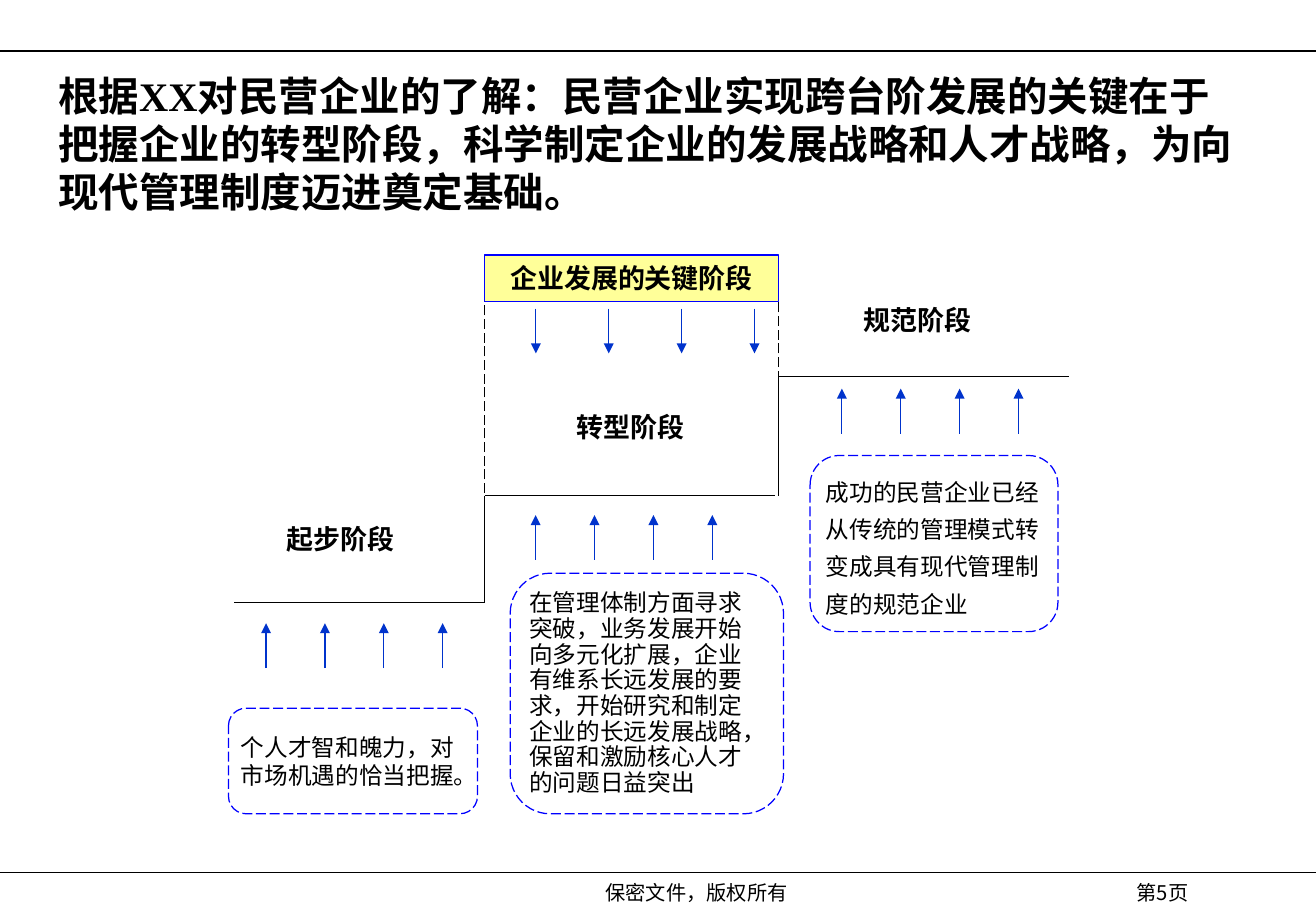
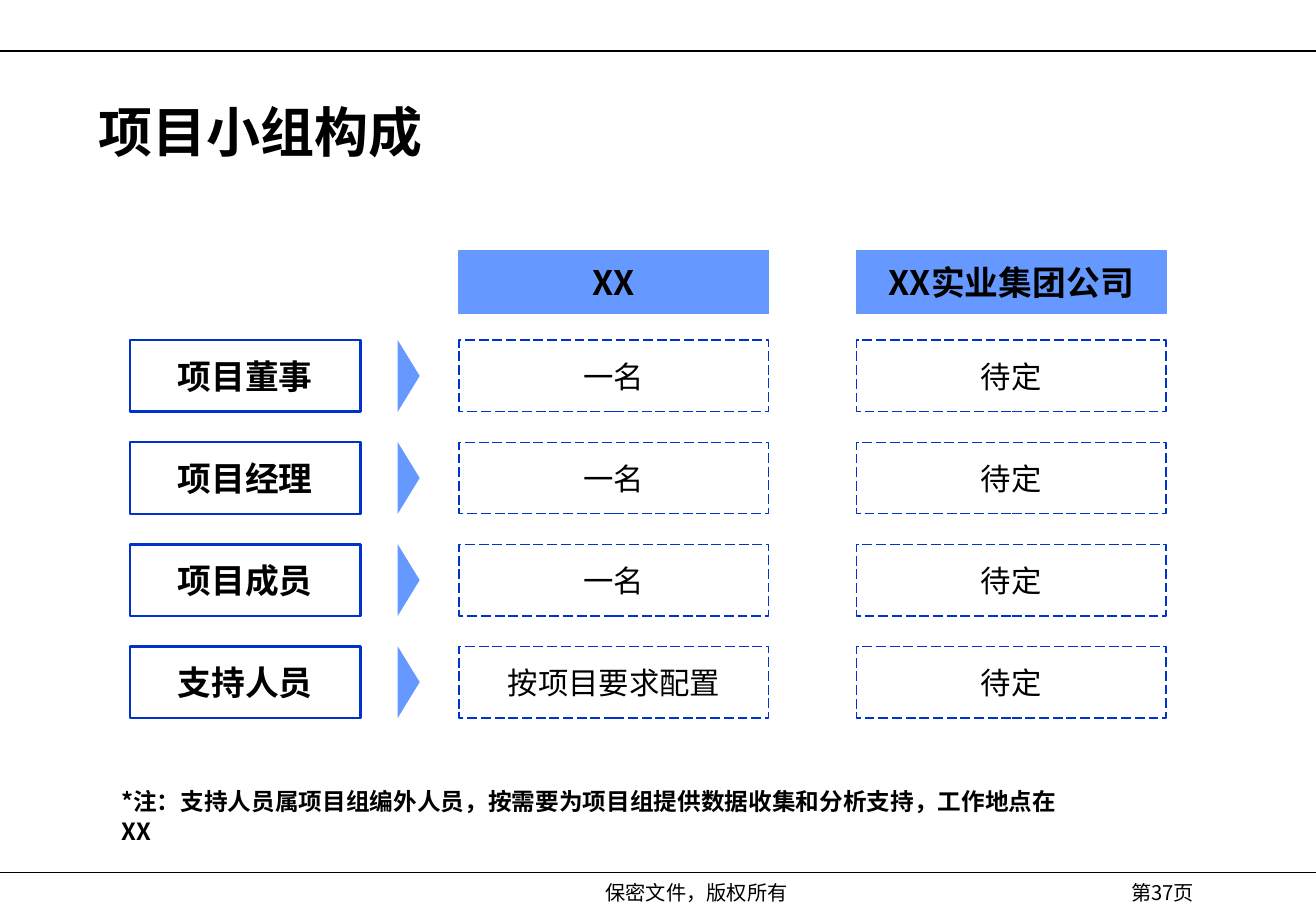
from dataclasses import dataclass
from typing import NamedTuple

import pptx
import pptx.dml.color
import pptx.enum.dml
import pptx.enum.shapes
import pptx.enum.text
import pptx.oxml
import pptx.oxml.ns
import pptx.util
from lxml import etree

Pt = pptx.util.Pt
SHAPES = pptx.enum.shapes.MSO_SHAPE
ALIGN = pptx.enum.text.PP_ALIGN
ANCHOR = pptx.enum.text.MSO_ANCHOR
LONG_DASH = pptx.enum.dml.MSO_LINE.LONG_DASH


@dataclass(frozen=True)
class Theme:
    black: str = "000000"
    white: str = "FFFFFF"
    navy: str = "0033CC"
    blue: str = "0000FF"
    sky: str = "6699FF"
    yellow: str = "FFFF99"
    serif: str = "Times New Roman"
    sans: str = "Arial"
    chinese: str = "Noto Sans CJK SC"
    footer_size: float = 12
    note_size: float = 14
    label_size: float = 16
    cell_size: float = 18
    header_size: float = 20
    long_title_size: float = 24
    title_size: float = 32
    thin: float = 0.75
    thick: float = 1.5


THEME = Theme()


class Box(NamedTuple):
    left: float
    top: float
    width: float
    height: float

    def inner(self, left, top, width, height):
        """Box whose offset is measured from this box."""
        return Box(self.left + left, self.top + top, width, height)

    def lengths(self):
        return [Pt(value) for value in self]


def color(value):
    return pptx.dml.color.RGBColor.from_string(value)


def write(shape, text, size=THEME.note_size, font=THEME.chinese, bold=False,
          align=ALIGN.LEFT, anchor=ANCHOR.MIDDLE, line_spacing=None,
          insets=(7.2, 3.6)):
    frame = shape.text_frame
    frame.word_wrap = True
    frame.vertical_anchor = anchor
    frame.margin_left = frame.margin_right = Pt(insets[0])
    frame.margin_top = frame.margin_bottom = Pt(insets[1])
    paragraph = frame.paragraphs[0]
    paragraph.alignment = align
    if line_spacing:
        paragraph.line_spacing = Pt(line_spacing)
    run = paragraph.add_run()
    run.text = text
    run.font.name = font
    run.font.size = Pt(size)
    run.font.bold = bold
    run.font.color.rgb = color(THEME.black)
    east_asian = etree.SubElement(run.font._element, pptx.oxml.ns.qn("a:ea"))
    east_asian.set("typeface", THEME.chinese)


def add_text(slide, box, text, **text_format):
    write(slide.shapes.add_textbox(*box.lengths()), text, **text_format)


def add_panel(slide, box, kind=SHAPES.RECTANGLE, fill=None, line=None,
              width=THEME.thin, dash=None):
    shape = slide.shapes.add_shape(kind, *box.lengths())
    shape.shadow.inherit = False
    if fill:
        shape.fill.solid()
        shape.fill.fore_color.rgb = color(fill)
    else:
        shape.fill.background()
    if line:
        shape.line.color.rgb = color(line)
        shape.line.width = Pt(width)
        shape.line.dash_style = dash
    else:
        shape.line.fill.background()
    return shape


def add_line(slide, start, end, line=THEME.black, dash=None, arrow=False):
    connector = slide.shapes.add_connector(
        pptx.enum.shapes.MSO_CONNECTOR.STRAIGHT,
        *[Pt(value) for value in (*start, *end)])
    connector.line.color.rgb = color(line)
    connector.line.width = Pt(THEME.thin)
    if dash:
        connector.line.dash_style = dash
    if arrow:
        etree.SubElement(connector.line._get_or_add_ln(),
                         pptx.oxml.ns.qn("a:tailEnd"), type="triangle")
    etree.SubElement(connector._element.spPr, pptx.oxml.ns.qn("a:effectLst"))


def add_frame(slide, page, number):
    """Rules, confidentiality line and page number found on every slide."""
    right = page.left + page.width
    for top in (30.24, 517):
        add_line(slide, (page.left, top), (right, top))
    footer = {"size": THEME.footer_size, "align": ALIGN.CENTER}
    add_text(slide, page.inner(201.6, 518.4, 422.6, 21.6), "保密文件，版权所有",
             font=THEME.serif, **footer)
    add_text(slide, page.inner(630.7, 518.4, 116.6, 21.6), f"第{number}页", **footer)


def add_arrows(slide, left, tail, tip, gap):
    """Four parallel vertical arrows, pointing from tail to tip."""
    for index in range(4):
        x = left + index * gap
        add_line(slide, (x, tail), (x, tip), line=THEME.navy, arrow=True)


def add_stage(slide, box, label, label_box, note, note_box, spacing, tread, arrows):
    """One step: its tread, label, upward arrows and note."""
    left, right, height = tread
    add_line(slide, (box.left + left, box.top + height),
             (box.left + right, box.top + height))
    panel = add_panel(slide, box.inner(*note_box), SHAPES.ROUNDED_RECTANGLE,
                      THEME.white, THEME.blue, dash=LONG_DASH)
    write(panel, note, font=THEME.sans, line_spacing=spacing, insets=(4.32, 3.6))
    add_text(slide, box.inner(*label_box), label, size=THEME.label_size,
             font=THEME.sans, bold=True)
    x, tip = arrows
    add_arrows(slide, box.left + x, box.top + tip + 26.6, box.top + tip, 34.9)


def add_key_stage(slide, box):
    """Banner over the middle step, with dashed sides and downward arrows."""
    right = box.left + box.width
    bottom = box.top + box.height
    add_line(slide, (box.left, bottom), box[:2], dash=LONG_DASH)
    add_line(slide, (right, box.top + 74.5), (right, box.top), dash=LONG_DASH)
    banner = add_panel(slide, box.inner(0, 0, box.width, 27.4),
                       fill=THEME.yellow, line=THEME.blue)
    write(banner, "企业发展的关键阶段", size=THEME.label_size, font=THEME.sans,
          bold=True, align=ALIGN.CENTER)
    add_arrows(slide, box.left + 30.3, box.top + 31.7, box.top + 58.3, 43.2)


def add_staircase(slide, box):
    stages = [
        dict(label="起步阶段", label_box=(27.7, 155, 92, 26.6),
             note="个人才智和魄力，对市场机遇的恰当把握。",
             note_box=(0.4, 268.8, 147.6, 62.6), spacing=17,
             tread=(4, 152.3, 206.1), arrows=(22.7, 218.4)),
        dict(label="转型阶段", label_box=(199.8, 88.8, 89.3, 26.6),
             note="在管理体制方面寻求突破，业务发展开始向多元化扩展，企业有维系长远发展的要求，"
                  "开始研究和制定企业的长远发展战略，保留和激励核心人才的问题日益突出",
             note_box=(167.4, 188.8, 162, 142.6), spacing=15.2,
             tread=(152.3, 324.4, 142.8), arrows=(182.5, 154.3)),
        dict(label="规范阶段", label_box=(369.7, 25.4, 83.5, 26.6),
             note="成功的民营企业已经从传统的管理模式转变成具有现代管理制度的规范企业",
             note_box=(345.2, 119, 146.9, 104.4), spacing=22,
             tread=(326.5, 498.6, 72.2), arrows=(364, 79.4)),
    ]
    for stage in stages:
        add_stage(slide, box, **stage)
    for lower, upper in zip(stages, stages[1:]):
        x = box.left + upper["tread"][0]
        add_line(slide, (x, box.top + lower["tread"][2]),
                 (x, box.top + upper["tread"][2]))
    add_key_stage(slide, box.inner(152.3, 0.2, 174.2, 141.1))


def add_team_grid(slide, box):
    """Role names on the left, each with its staffing on both sides."""
    role_width, cell_width, row_height, row_pitch = 136.8, 183.6, 52, 0
    row_height, row_pitch = 42.5, 60.5
    first_row = 53.3
    columns = (195.1, 430.6)
    centered = {"align": ALIGN.CENTER}
    for left, text in zip(columns, ("XX", "XX实业集团公司")):
        header = add_panel(slide, box.inner(left, 0, cell_width, 37.4),
                           fill=THEME.sky, line=THEME.sky)
        write(header, text, size=THEME.header_size, bold=True, **centered)
    rows = [
        ("项目董事", "一名", "待定"),
        ("项目经理", "一名", "待定"),
        ("项目成员", "一名", "待定"),
        ("支持人员", "按项目要求配置", "待定"),
    ]
    for index, (role, *cells) in enumerate(rows):
        top = first_row + index * row_pitch
        panel = add_panel(slide, box.inner(0, top, role_width, row_height),
                          line=THEME.navy, width=THEME.thick)
        write(panel, role, size=THEME.header_size, bold=True, **centered)
        pointer_height = 13
        pointer = add_panel(
            slide, box.inner(144, top + (row_height - pointer_height) / 2,
                             row_height, pointer_height),
            SHAPES.ISOSCELES_TRIANGLE, fill=THEME.sky)
        pointer.rotation = 90
        for left, text in zip(columns, cells):
            cell = add_panel(slide, box.inner(left, top, cell_width, row_height),
                             line=THEME.navy, dash=LONG_DASH)
            write(cell, text, size=THEME.cell_size, **centered)


def build_stages_slide(slide, page):
    add_frame(slide, page, 5)
    add_text(slide, page.inner(27.4, 41, 720, 87.8),
             "根据XX对民营企业的了解：民营企业实现跨台阶发展的关键在于把握企业的转型阶段，"
             "科学制定企业的发展战略和人才战略，为向现代管理制度迈进奠定基础。",
             size=THEME.long_title_size, font=THEME.serif, bold=True, line_spacing=28.5)
    add_staircase(slide, page.inner(135, 151, 499, 332))


def build_team_slide(slide, page):
    add_frame(slide, page, 37)
    add_text(slide, page.inner(51.8, 54, 663, 54), "项目小组构成",
             size=THEME.title_size, font=THEME.serif, bold=True,
             anchor=ANCHOR.TOP, line_spacing=40, insets=(6.5, 2.9))
    add_team_grid(slide, page.inner(77, 148.3, 614.2, 277.3))
    add_text(slide, page.inner(64.8, 462.2, 585.4, 24.5),
             "*注：支持人员属项目组编外人员，按需要为项目组提供数据收集和分析支持，工作地点在XX",
             bold=True, anchor=ANCHOR.TOP, line_spacing=17.8)


def main():
    presentation = pptx.Presentation()
    page = Box(0, 0, 780, 540)
    presentation.slide_width = Pt(page.width)
    presentation.slide_height = Pt(page.height)
    blank = presentation.slide_layouts[6]
    for build in (build_stages_slide, build_team_slide):
        build(presentation.slides.add_slide(blank), page)
    presentation.save("out.pptx")


if __name__ == "__main__":
    main()
